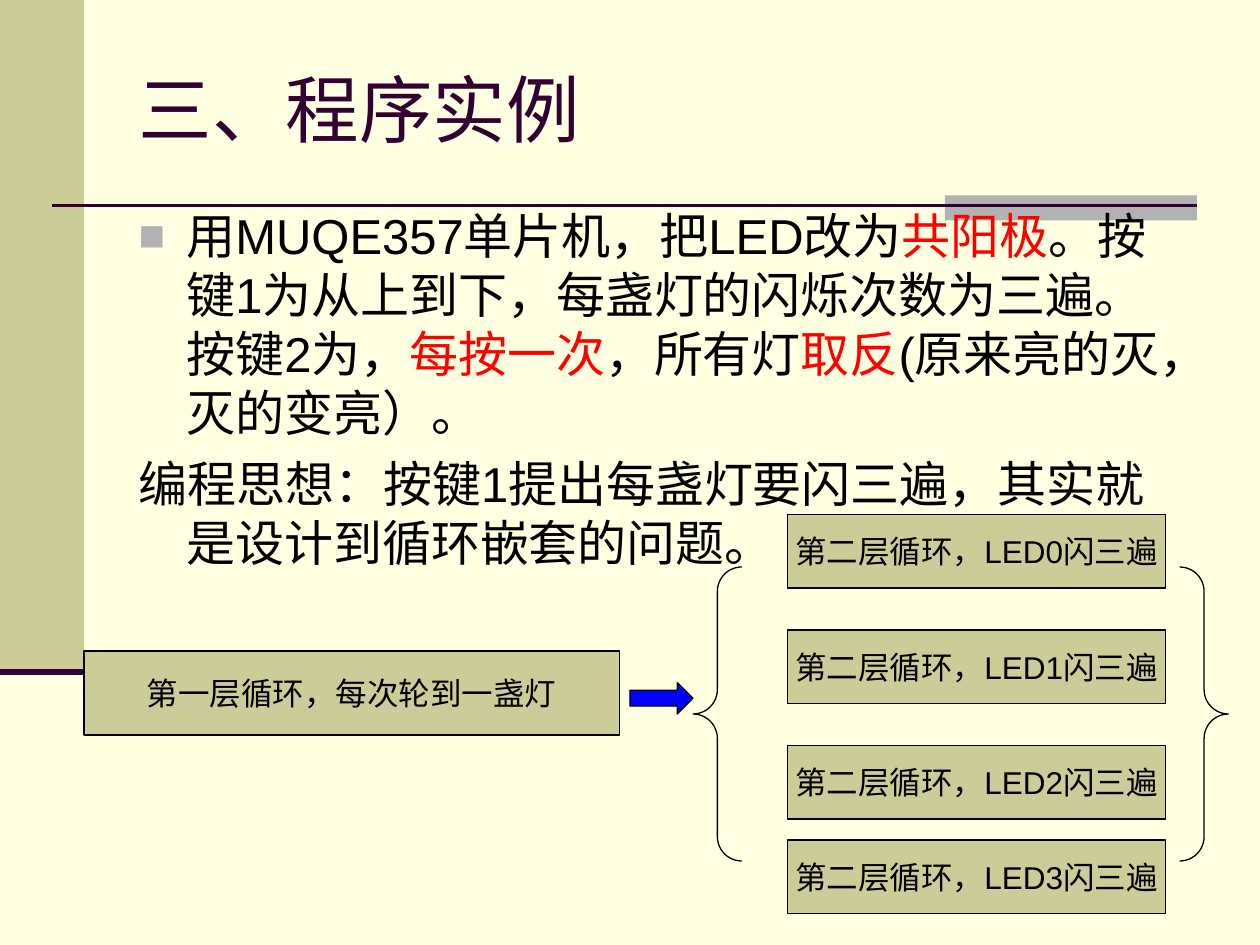
from lxml.etree import SubElement
from pptx import Presentation
from pptx.dml.color import RGBColor
from pptx.enum.shapes import MSO_CONNECTOR, MSO_SHAPE
from pptx.enum.text import MSO_ANCHOR, MSO_AUTO_SIZE, PP_ALIGN
from pptx.oxml.ns import qn
from pptx.util import Inches, Pt

THEME = {
    "back": "FFFFE1", "sand": "CCCC99", "gray": "B2B2B2", "plum": "330033",
    "ink": "000000", "red": "FF0000", "blue": "0000FF",
    "title": {"name": "Times New Roman", "size": Pt(42)},
    "body": {"name": "Arial", "size": Pt(28)},
    "label": {"name": "Arial", "size": Pt(18)},
}
COLS, ROWS = 120, 90

TITLE = "三、程序实例"
BODY = [
    ("■", [
        ("用MUQE357单片机，把LED改为", "ink"),
        ("共阳极", "red"),
        ("。按键1为从上到下，每盏灯的闪烁次数为三遍。按键2为，", "ink"),
        ("每按一次", "red"),
        ("，所有灯", "ink"),
        ("取反", "red"),
        ("(原来亮的灭，灭的变亮）。", "ink"),
    ]),
    (None, [("编程思想：按键1提出每盏灯要闪三遍，其实就是设计到循环嵌套的问题。", "ink")]),
]
OUTER = "第一层循环，每次轮到一盏灯"
INNER = "第二层循环，LED{}闪三遍"
TOPS = [49, 60, 71, 80]
BANDS = [((0, 0, 8, 64), "sand"), ((90, 18.6, 24, 2.4), "gray")]
RULES = [((5, 19.6, 114), 1.5), ((0, 64, 8), 3.5)]

deck = Presentation()
deck.slide_width, deck.slide_height = Inches(10), Inches(7.5)
page = deck.slides.add_slide(deck.slide_layouts[1])
page.background.fill.solid()


def tint(name):
    return RGBColor.from_string(THEME[name])


page.background.fill.fore_color.rgb = tint("back")


def grid(x, y, w, h):
    dx, dy = deck.slide_width / COLS, deck.slide_height / ROWS
    return [round(n) for n in (x * dx, y * dy, w * dx, h * dy)]


def apply(item, values):
    for key, value in values.items():
        setattr(item, key, value)


def write(para, text, style, color):
    run = para.add_run()
    run.text = text
    apply(run.font, THEME[style])
    run.font.color.rgb = tint(color)


def draw(kind, cell, fill=None, edge=None):
    shape = page.shapes.add_shape(kind, *grid(*cell))
    shape.shadow.inherit = False
    if fill:
        shape.fill.solid()
        shape.fill.fore_color.rgb = tint(fill)
    else:
        shape.fill.background()
    if edge:
        shape.line.color.rgb = tint(edge)
        shape.line.width = Pt(0.75)
    else:
        shape.line.fill.background()
    return shape


def label(cell, text):
    frame = draw(MSO_SHAPE.RECTANGLE, cell, "sand", "ink").text_frame
    apply(frame, {"word_wrap": False, "vertical_anchor": MSO_ANCHOR.MIDDLE})
    para = frame.paragraphs[0]
    para.alignment = PP_ALIGN.CENTER
    write(para, text, "label", "ink")


def rule(x, y, end, width):
    left, top, right, _ = grid(x, y, end, 0)
    line = page.shapes.add_connector(MSO_CONNECTOR.STRAIGHT, left, top, right, top)
    line.line.color.rgb = tint("plum")
    line.line.width = Pt(width)
    SubElement(line._element.spPr, qn("a:effectLst"))


def bullet(para, mark):
    props = para._p.get_or_add_pPr()
    props.set("marL", str(Inches(0.38)))
    props.set("indent", str(-Inches(0.38)))
    if not mark:
        SubElement(props, qn("a:buNone"))
        return
    color = SubElement(props, qn("a:buClr"))
    SubElement(color, qn("a:srgbClr"), val=THEME["gray"])
    SubElement(props, qn("a:buSzPct"), val="90000")
    SubElement(props, qn("a:buFont"), typeface="Arial")
    SubElement(props, qn("a:buChar"), char=mark)


def place(holder, cell, anchor):
    apply(holder, dict(zip(("left", "top", "width", "height"), grid(*cell))))
    frame = holder.text_frame
    apply(frame, {"word_wrap": True, "auto_size": MSO_AUTO_SIZE.NONE,
                  "vertical_anchor": anchor})
    return frame


for cell, fill in BANDS:
    draw(MSO_SHAPE.RECTANGLE, cell, fill)
for spot, width in RULES:
    rule(*spot, width)

head = place(page.shapes.title, (12, 2.8, 102, 15), MSO_ANCHOR.MIDDLE).paragraphs[0]
head.alignment = PP_ALIGN.LEFT
write(head, TITLE, "title", "plum")

body = page.placeholders[1]
frame = place(body, (12, 19, 102, 59.4), MSO_ANCHOR.TOP)
for row, (mark, runs) in enumerate(BODY):
    para = frame.add_paragraph() if row else frame.paragraphs[0]
    bullet(para, mark)
    apply(para, {"space_before": Pt(7 if row else 0), "alignment": PP_ALIGN.LEFT})
    for text, color in runs:
        write(para, text, "body", color)

for holder in (body, page.shapes.title):
    page.shapes._spTree.append(holder._element)

label((8, 62, 51, 8), OUTER)
for num, top in enumerate(TOPS):
    label((75, top, 36, 7), INNER.format(num))
draw(MSO_SHAPE.DOUBLE_BRACE, (66, 54, 51, 28), edge="ink").adjustments[0] = 0.083
draw(MSO_SHAPE.RIGHT_ARROW, (60, 65, 6, 3), "blue", "ink")

deck.save("out.pptx")
